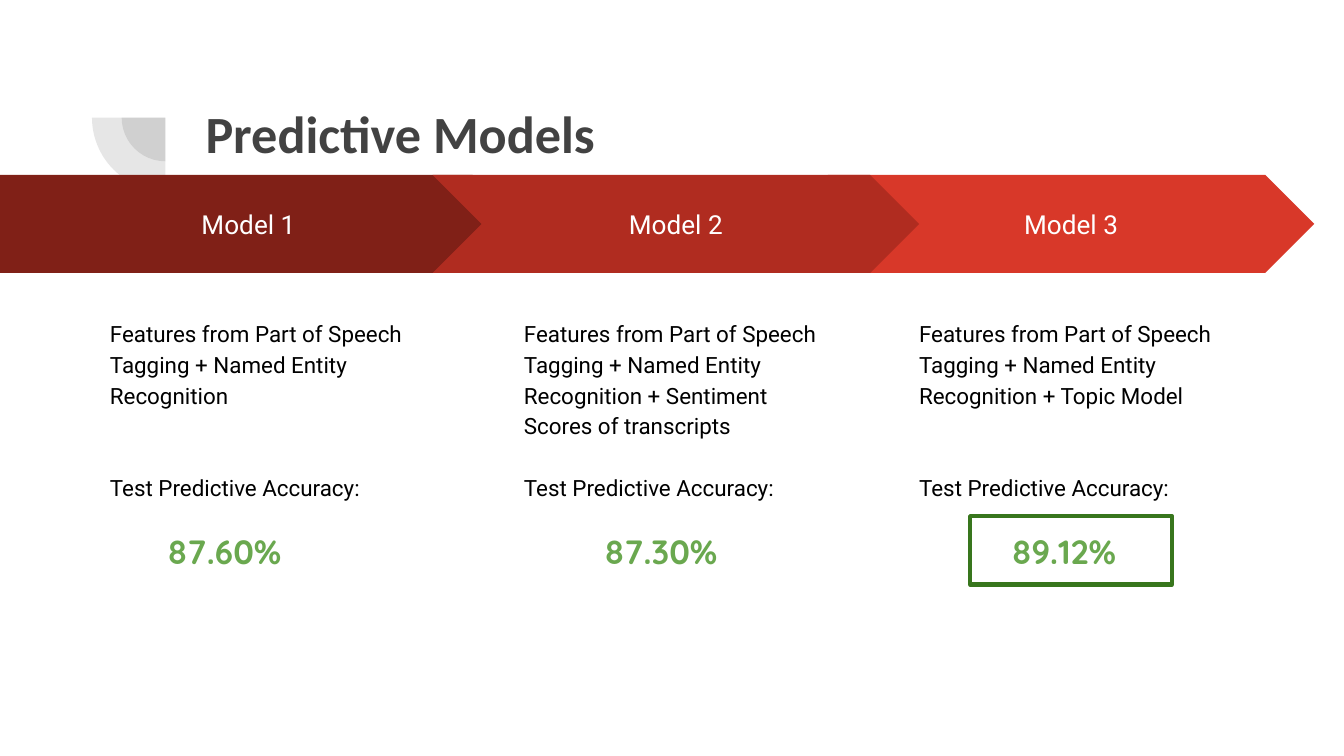
"""Build a slide comparing three predictive models and their accuracy."""
from pptx import Presentation
from pptx.dml.color import RGBColor
from pptx.enum.shapes import MSO_SHAPE
from pptx.enum.text import MSO_ANCHOR, PP_ALIGN
from pptx.oxml import parse_xml
from pptx.oxml.ns import nsdecls
from pptx.util import Pt

TITLE = "Predictive Models"
BASE = "Features from Part of Speech Tagging + Named Entity Recognition"
CAPTION = "Test Predictive Accuracy:"
MODELS = [
    dict(name="Model 3", arrow=(443.5, 260.6), extra=" + Topic Model", gap=2,
         text_x=485.3, score="89.12%", score_x=535),
    dict(name="Model 1", arrow=(0, 279.4), extra="", gap=2,
         text_x=51.8, score="87.60%", score_x=82.8),
    dict(name="Model 2", arrow=(231.8, 260.6), extra=" + Sentiment Scores of transcripts",
         gap=1, text_x=273.6, score="87.30%", score_x=316.8),
]
THEME = dict(
    gray="424242", white="FFFFFF", black="000000", score="6AA84F", frame="38761D",
    arrows={"Model 1": "802017", "Model 2": "B02C20", "Model 3": "D83829"},
    title=("Calibri", 28), label=("Roboto", 14), body=("Roboto", 12), accuracy=("Quicksand", 18),
)
ARROW_TOP, ARROW_H = 93.75, 52.5
BODY_LINE = 16.5
PIE_CENTER = (88.6, 63)
PIE_SIZES = (46.8, 78.6)


def rgb(name):
    return RGBColor.from_string(THEME.get(name, name))


def style(p, face, color, bold=False):
    p.font.name, size = THEME[face]
    p.font.size = Pt(size)
    p.font.color.rgb = rgb(color)
    p.font.bold = bold


def set_insets(tf):
    tf.word_wrap = True
    tf.margin_left = tf.margin_right = tf.margin_top = tf.margin_bottom = Pt(7.2)


def add_shape(s, kind, box, fill=None):
    sp = s.shapes.add_shape(kind, *map(Pt, box))
    sp.shadow.inherit = False
    if fill:
        sp.fill.solid()
        sp.fill.fore_color.rgb = rgb(fill)
    else:
        sp.fill.background()
    sp.line.fill.background()
    return sp


def add_text(s, box, texts, face, color, bold=False):
    tf = s.shapes.add_textbox(*map(Pt, box)).text_frame
    set_insets(tf)
    tf.text = "\n".join(texts)
    for p in tf.paragraphs:
        style(p, face, color, bold)
    return tf


def add_pie(s, size):
    x, y = (c - size / 2 for c in PIE_CENTER)
    sp = add_shape(s, MSO_SHAPE.PIE, (x, y, size, size), "gray")
    sp.adjustments[0], sp.adjustments[1] = 108, 162
    sp.rotation = 270
    color = sp.fill._xPr.solidFill[0]
    color.append(parse_xml(f'<a:alpha {nsdecls("a")} val="13000"/>'))


def add_model(s, model):
    x, w = model["arrow"]
    kind = MSO_SHAPE.CHEVRON if x else MSO_SHAPE.PENTAGON
    sp = add_shape(s, kind, (x, ARROW_TOP, w, ARROW_H), THEME["arrows"][model["name"]])
    sp.adjustments[0] = 0.5
    tf = sp.text_frame
    set_insets(tf)
    tf.vertical_anchor = MSO_ANCHOR.MIDDLE
    tf.text = model["name"]
    p = tf.paragraphs[0]
    p.alignment = PP_ALIGN.CENTER
    style(p, "label", "white")

    tf = add_text(s, (model["text_x"], 162, 176.4, 206), [BASE + model["extra"], CAPTION],
                  "body", "black")
    for p in tf.paragraphs:
        p.line_spacing = 1.15
    tf.paragraphs[1].space_before = Pt(model["gap"] * BODY_LINE)


def main():
    prs = Presentation()
    prs.slide_width, prs.slide_height = Pt(720), Pt(405)
    s = prs.slides.add_slide(prs.slide_layouts[6])
    for size in PIE_SIZES:
        add_pie(s, size)
    add_text(s, (103, 46.8, 553.7, 78.5), [TITLE], "title", "gray", True)
    for model in MODELS:
        add_model(s, model)
    for model in MODELS:
        add_text(s, (model["score_x"], 277.2, 89.3, 36.7), [model["score"]],
                 "accuracy", "score", True)
    frame = add_shape(s, MSO_SHAPE.RECTANGLE, (519.8, 276.5, 108, 36.7))
    frame.line.color.rgb = rgb("frame")
    frame.line.width = Pt(2.25)
    prs.save("out.pptx")


if __name__ == "__main__":
    main()
